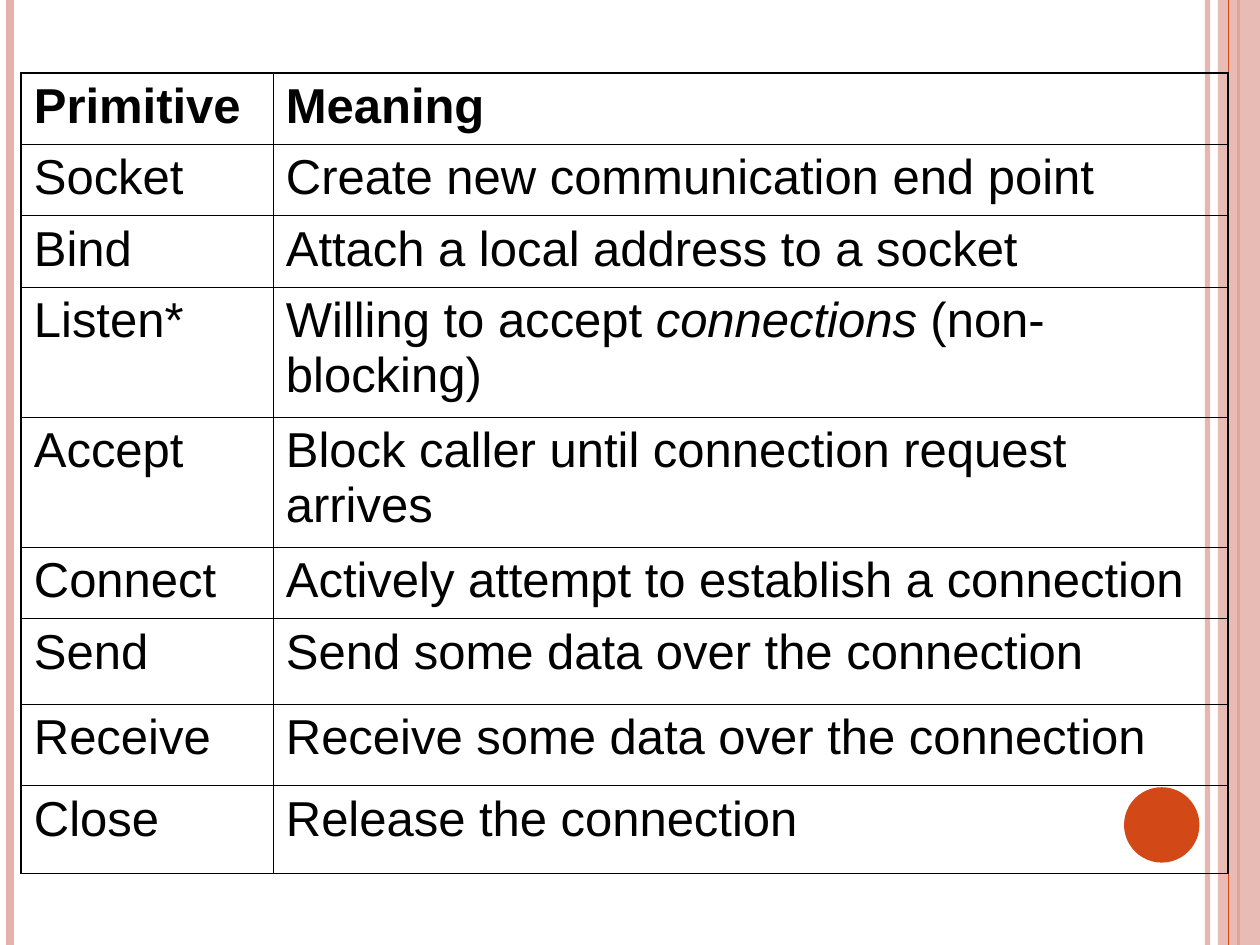
from lxml.etree import SubElement
from pptx import Presentation
from pptx.dml.color import RGBColor
from pptx.enum.shapes import MSO_CONNECTOR as CONNECTOR, MSO_SHAPE as SHAPE
from pptx.oxml import parse_xml
from pptx.oxml.ns import nsdecls, qn
from pptx.util import Cm, Pt

WIDTH, HEIGHT = 25.4, 19.05
PINK, ORANGE, BLACK = "E6B1AB", "D34817", "000000"
THICK, THIN = 1.08, 0.45
PRIMITIVES = [
    # name, meaning as (text, italic) runs, row height in cm
    ("Primitive", [("Meaning", False)], 1.44),
    ("Socket", [("Create new communication end point", False)], 1.44),
    ("Bind", [("Attach a local address to a socket", False)], 1.44),
    ("Listen*", [("Willing to accept ", False), ("connections", True),
                 (" (non-blocking)", False)], 2.62),
    ("Accept", [("Block caller until connection request arrives", False)], 2.62),
    ("Connect", [("Actively attempt to establish a connection", False)], 1.44),
    ("Send", [("Send some data over the connection", False)], 1.72),
    ("Receive", [("Receive some data over the connection", False)], 1.65),
    ("Close", [("Release the connection", False)], 1.77),
]


def color(hex_string):
    return RGBColor.from_string(hex_string)


def set_opacity(element, percent):
    """Make the solid colour found inside the element partly transparent."""
    srgb = element.find(".//" + qn("a:srgbClr"))
    SubElement(srgb, qn("a:alpha")).set("val", str(percent * 1000))


def add_stripe(slide, x, top, height, hex_string, points, opacity=100):
    stripe = slide.shapes.add_connector(
        CONNECTOR.STRAIGHT, Cm(x), Cm(top), Cm(x), Cm(top + height))
    stripe.line.color.rgb = color(hex_string)
    stripe.line.width = Pt(points)
    if opacity < 100:
        set_opacity(stripe.line._ln, opacity)
    SubElement(stripe._element.spPr, qn("a:effectLst"))


def add_filled_shape(slide, kind, left, top, width, height, hex_string):
    shape = slide.shapes.add_shape(kind, Cm(left), Cm(top), Cm(width), Cm(height))
    shape.shadow.inherit = False
    shape.fill.solid()
    shape.fill.fore_color.rgb = color(hex_string)
    shape.line.fill.background()
    return shape


def add_page_frame(slide, left, top, width, height):
    """Draw the edge stripes, the right-hand band and the dot."""
    right = left + width
    add_stripe(slide, right - 1.06, top, height, PINK, 3, opacity=93)
    add_stripe(slide, left + 0.21, top, height, PINK, 4.5)
    add_stripe(slide, right - 0.43, top, height, ORANGE, 1.5)
    band = add_filled_shape(slide, SHAPE.RECTANGLE, right - 0.85, top,
                            0.85, height, PINK)
    set_opacity(band._element.spPr, 87)
    add_stripe(slide, right - 0.64, top, height, ORANGE, 0.75)
    add_filled_shape(slide, SHAPE.OVAL, right - 2.74, top + height - 3.18,
                     1.52, 1.52, ORANGE)


def set_borders(cell, left, right, top, bottom):
    properties = cell._tc.get_or_add_tcPr()
    sides = zip("LRTB", (left, right, top, bottom))
    for position, (side, points) in enumerate(sides):
        properties.insert(position, parse_xml(
            f'<a:ln{side} {nsdecls("a")} w="{Pt(points)}"><a:solidFill>'
            f'<a:srgbClr val="{BLACK}"/></a:solidFill></a:ln{side}>'))


def fill_cell(cell, runs, bold):
    cell.fill.background()
    paragraph = cell.text_frame.paragraphs[0]
    for text, italic in runs:
        run = paragraph.add_run()
        run.text = text
        if italic:
            run.font.italic = True
    font = paragraph.font
    font.name, font.size, font.bold = "Arial", Pt(28), bold
    font.color.rgb = color(BLACK)


def add_primitives_table(slide, left, top, width, name_width):
    height = sum(row_height for _, _, row_height in PRIMITIVES)
    table = slide.shapes.add_table(len(PRIMITIVES), 2, Cm(left), Cm(top),
                                   Cm(width), Cm(height)).table
    table.first_row = table.horz_banding = False
    table.columns[0].width = Cm(name_width)
    table.columns[1].width = Cm(width - name_width)
    last = len(PRIMITIVES) - 1
    for index, (name, meaning, row_height) in enumerate(PRIMITIVES):
        table.rows[index].height = Cm(row_height)
        for column, runs in enumerate(([(name, False)], meaning)):
            cell = table.cell(index, column)
            fill_cell(cell, runs, bold=index == 0)
            set_borders(cell,
                        left=THICK if column == 0 else THIN,
                        right=THICK if column == 1 else THIN,
                        top=THICK if index == 0 else THIN,
                        bottom=THICK if index == last else THIN)


def main():
    presentation = Presentation()
    presentation.slide_width, presentation.slide_height = Cm(WIDTH), Cm(HEIGHT)
    slide = presentation.slides.add_slide(presentation.slide_layouts[6])
    add_page_frame(slide, 0, 0, WIDTH, HEIGHT)
    add_primitives_table(slide, 0.43, 1.47, 24.33, name_width=5.08)
    presentation.save("out.pptx")


if __name__ == "__main__":
    main()
